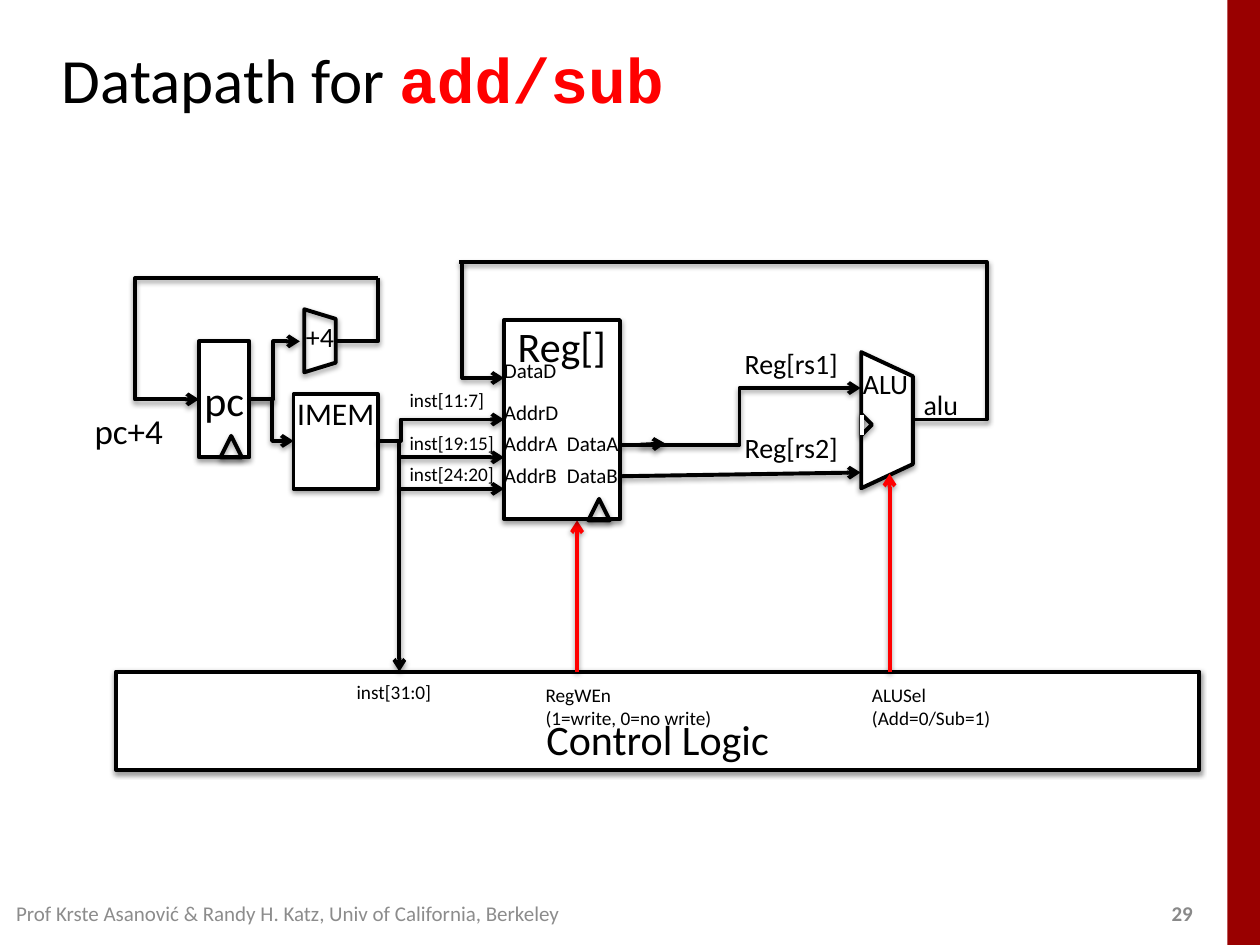
import pptx
import pptx.dml.color
import pptx.enum.shapes
import pptx.enum.text
import pptx.oxml
import pptx.oxml.ns
import pptx.util
from lxml import etree

Inches = pptx.util.Inches
Pt = pptx.util.Pt
RGBColor = pptx.dml.color.RGBColor
SHAPE = pptx.enum.shapes.MSO_SHAPE
CONNECTOR = pptx.enum.shapes.MSO_CONNECTOR
ANCHOR = pptx.enum.text.MSO_ANCHOR
ALIGN = pptx.enum.text.PP_ALIGN
AUTO_SIZE = pptx.enum.text.MSO_AUTO_SIZE
qn = pptx.oxml.ns.qn

BLACK = RGBColor(0x00, 0x00, 0x00)
WHITE = RGBColor(0xFF, 0xFF, 0xFF)
RED = RGBColor(0xFF, 0x00, 0x00)
BAR_RED = RGBColor(0x99, 0x00, 0x00)
PAGE_GREY = RGBColor(0x89, 0x89, 0x89)
FOOTER_GREY = RGBColor(0x8C, 0x8C, 0x8C)

NO_INSETS = (0, 0, 0, 0)
DEFAULT_INSETS = (0.1, 0.05, 0.1, 0.05)


class DatapathSlide:
    font = "Calibri"
    code_font = "Courier New"
    line_width = 2.25

    def __init__(self, prs):
        self.slide = prs.slides.add_slide(prs.slide_layouts[5])
        self.shapes = self.slide.shapes

    def run(self, p, text, size, color=BLACK, bold=None, font=None):
        r = p.add_run()
        r.text = text
        r.font.name = font or self.font
        r.font.size = Pt(size)
        r.font.color.rgb = color
        r.font.bold = bold

    def frame(self, tf, insets, anchor):
        sides = ("margin_left", "margin_top", "margin_right", "margin_bottom")
        for side, inset in zip(sides, insets):
            setattr(tf, side, Inches(inset))
        tf.vertical_anchor = anchor

    def shadow(self, sp, alpha=38, distance=1.6):
        spPr = sp._element.spPr
        effects = spPr.find(qn("a:effectLst"))
        if effects is None:
            effects = etree.SubElement(spPr, qn("a:effectLst"))
        outer = etree.SubElement(
            effects, qn("a:outerShdw"), blurRad=str(Pt(3.1)),
            dist=str(Pt(distance)), dir="5400000", rotWithShape="0")
        color = etree.SubElement(outer, qn("a:srgbClr"), val=str(BLACK))
        etree.SubElement(color, qn("a:alpha"), val=str(alpha * 1000))

    def title(self, x, y, w, h, *runs):
        sp = self.shapes.title
        sp.left, sp.top, sp.width, sp.height = map(Inches, (x, y, w, h))
        self.frame(sp.text_frame, DEFAULT_INSETS, ANCHOR.MIDDLE)
        p = sp.text_frame.paragraphs[0]
        p.alignment = ALIGN.LEFT
        for text, style in runs:
            self.run(p, text, 36, **style)

    def shape(self, kind, x, y, w, h, fill=None, rotation=0, adj=None, outlined=True):
        sp = self.shapes.add_shape(kind, *map(Inches, (x, y, w, h)))
        sp.rotation = rotation
        if adj is not None:
            sp.adjustments[0] = adj
        if fill is None:
            sp.fill.background()
        else:
            sp.fill.solid()
            sp.fill.fore_color.rgb = fill
        sp.shadow.inherit = False
        if outlined:
            sp.line.color.rgb = BLACK
            sp.line.width = Pt(self.line_width)
            self.shadow(sp)
        else:
            sp.line.fill.background()
        return sp

    def block(self, x, y, w, h, text, size, anchor=ANCHOR.TOP, insets=NO_INSETS):
        sp = self.shape(SHAPE.RECTANGLE, x, y, w, h, WHITE)
        self.frame(sp.text_frame, insets, anchor)
        p = sp.text_frame.paragraphs[0]
        p.alignment = ALIGN.CENTER
        self.run(p, text, size)

    def clock(self, x, y, w=0.17, h=0.17, rotation=0):
        self.shape(SHAPE.ISOSCELES_TRIANGLE, x, y, w, h, rotation=rotation)

    def label(self, x, y, w, h, lines, size, insets=NO_INSETS, anchor=ANCHOR.TOP,
              wrap=False, color=BLACK, bold=None):
        sp = self.shapes.add_textbox(*map(Inches, (x, y, w, h)))
        tf = sp.text_frame
        tf.word_wrap = wrap
        tf.auto_size = AUTO_SIZE.NONE if wrap else AUTO_SIZE.SHAPE_TO_FIT_TEXT
        self.frame(tf, insets, anchor)
        for i, line in enumerate(lines):
            p = tf.add_paragraph() if i else tf.paragraphs[0]
            self.run(p, line, size, color, bold)

    def wire(self, x1, y1, x2, y2, via_x=None, arrow=True, color=BLACK):
        """Straight wire, or one whose vertical part runs at via_x."""
        kind = CONNECTOR.STRAIGHT if via_x is None else CONNECTOR.ELBOW
        cn = self.shapes.add_connector(kind, *map(Inches, (x1, y1, x2, y2)))
        if via_x is not None:
            adj = round((via_x - x1) / (x2 - x1) * 100000)
            guides = cn._element.spPr.find(qn("a:prstGeom")).get_or_add_avLst()
            etree.SubElement(guides, qn("a:gd"), name="adj1", fmla=f"val {adj}")
        cn.line.color.rgb = color
        cn.line.width = Pt(self.line_width)
        if arrow:
            ln = cn.line._get_or_add_ln()
            etree.SubElement(ln, qn("a:tailEnd"), type="arrow")
        self.shadow(cn)


def draw_fetch(s):
    s.shape(SHAPE.TRAPEZOID, 2.29, 2.58, 0.5, 0.25, rotation=90, adj=0.307)
    s.label(2.33, 2.54, 0.33, 0.27, ["+4"], 16, insets=(0.1, 0, 0, 0))
    s.wire(1.95, 3.17, 2.38, 2.71, via_x=2.17)
    s.wire(2.67, 2.71, 3, 2.21, via_x=3, arrow=False)
    s.wire(3, 2.21, 1.58, 3.17, via_x=1.07)
    s.block(1.58, 2.71, 0.4, 0.92, "pc", 24, ANCHOR.MIDDLE)
    s.clock(1.75, 3.46)
    s.label(0.75, 3.25, 0.55, 0.34, ["pc+4"], 20)


def draw_instruction(s):
    for y, bits in ((3.08, "11:7"), (3.42, "19:15"), (3.67, "24:20")):
        s.label(3.25, y, 0.68, 0.19, [f"inst[{bits}]"], 11)
    s.block(2.33, 3.13, 0.67, 0.75, "IMEM", 18)
    s.wire(1.98, 3.17, 2.33, 3.5, via_x=2.16)
    s.wire(3, 3.5, 4, 3.33, via_x=3.18)
    s.wire(3.17, 3.5, 3.17, 5.33)
    for y in (3.63, 3.88):
        s.wire(3.17, y, 4, y)
    s.label(2.83, 5.4, 0.6, 0.19, ["inst[31:0]"], 11)


def draw_registers(s):
    s.wire(4.58, 5.33, 4.58, 4.13, color=RED)
    s.label(4.33, 5.42, 1.33, 0.37, ["RegWEn", "(1=write, 0=no write)"], 11)
    s.wire(5.08, 3.53, 5.28, 3.52)
    s.block(4, 2.54, 0.92, 1.58, "Reg[]", 24)
    s.clock(4.67, 3.96)
    ports = ((4, 3.42, "AddrA"), (4, 3.67, "AddrB"), (4.5, 3.42, "DataA"),
             (4, 3.17, "AddrD"), (4.5, 3.67, "DataB"), (4, 2.84, "DataD"))
    for x, y, port in ports:
        s.label(x, y, 0.44, 0.2, [port], 12)
    s.wire(4.92, 3.53, 6.83, 3.08, via_x=5.87)
    s.wire(4.91, 3.78, 6.83, 3.75)
    for y, name in ((2.75, "Reg[rs1]"), (3.42, "Reg[rs2]")):
        s.label(5.91, y, 0.82, 0.27, [name], 16)


def draw_alu(s):
    s.wire(3.67, 2.08, 4, 3, via_x=3.67)
    s.wire(7.25, 3.33, 3.64, 2.08, via_x=7.83, arrow=False)
    s.shape(SHAPE.TRAPEZOID, 6.5, 3.13, 1.08, 0.41, WHITE, rotation=90, adj=0.466)
    s.clock(6.8, 3.33, 0.16, 0.08, rotation=90)
    s.wire(6.84, 3.29, 6.84, 3.45, arrow=False, color=WHITE)
    s.label(7.33, 3.08, 0.28, 0.27, ["alu"], 16)
    s.label(6.75, 2.86, 0.58, 0.37, ["ALU"], 16, insets=DEFAULT_INSETS)
    s.wire(7.06, 5.33, 7.06, 3.76, color=RED)
    s.label(6.92, 5.42, 0.95, 0.37, ["ALUSel", "(Add=0/Sub=1)"], 11)


def main():
    prs = pptx.Presentation()
    prs.slide_width, prs.slide_height = Inches(10), Inches(7.5)
    s = DatapathSlide(prs)
    s.shape(SHAPE.RECTANGLE, 6.12, 3.62, 7.5, 0.26, BAR_RED, rotation=90, outlined=False)
    s.label(9.2, 7.1, 0.4, 0.3, ["29"], 12, DEFAULT_INSETS, ANCHOR.MIDDLE,
            wrap=True, color=PAGE_GREY, bold=True)
    s.block(0.92, 5.33, 8.6, 0.78, "Control Logic", 24, ANCHOR.BOTTOM, DEFAULT_INSETS)
    s.title(0.39, 0.21, 8.3, 0.83, ("Datapath for ", {}),
            ("add/sub", {"color": RED, "bold": True, "font": s.code_font}))
    draw_fetch(s)
    draw_instruction(s)
    draw_registers(s)
    draw_alu(s)
    s.label(0.03, 7.05, 5.74, 0.39,
            ["Prof Krste Asanović & Randy H. Katz, Univ of California, Berkeley"], 12,
            DEFAULT_INSETS, ANCHOR.MIDDLE, wrap=True, color=FOOTER_GREY)
    prs.save("out.pptx")


if __name__ == "__main__":
    main()
